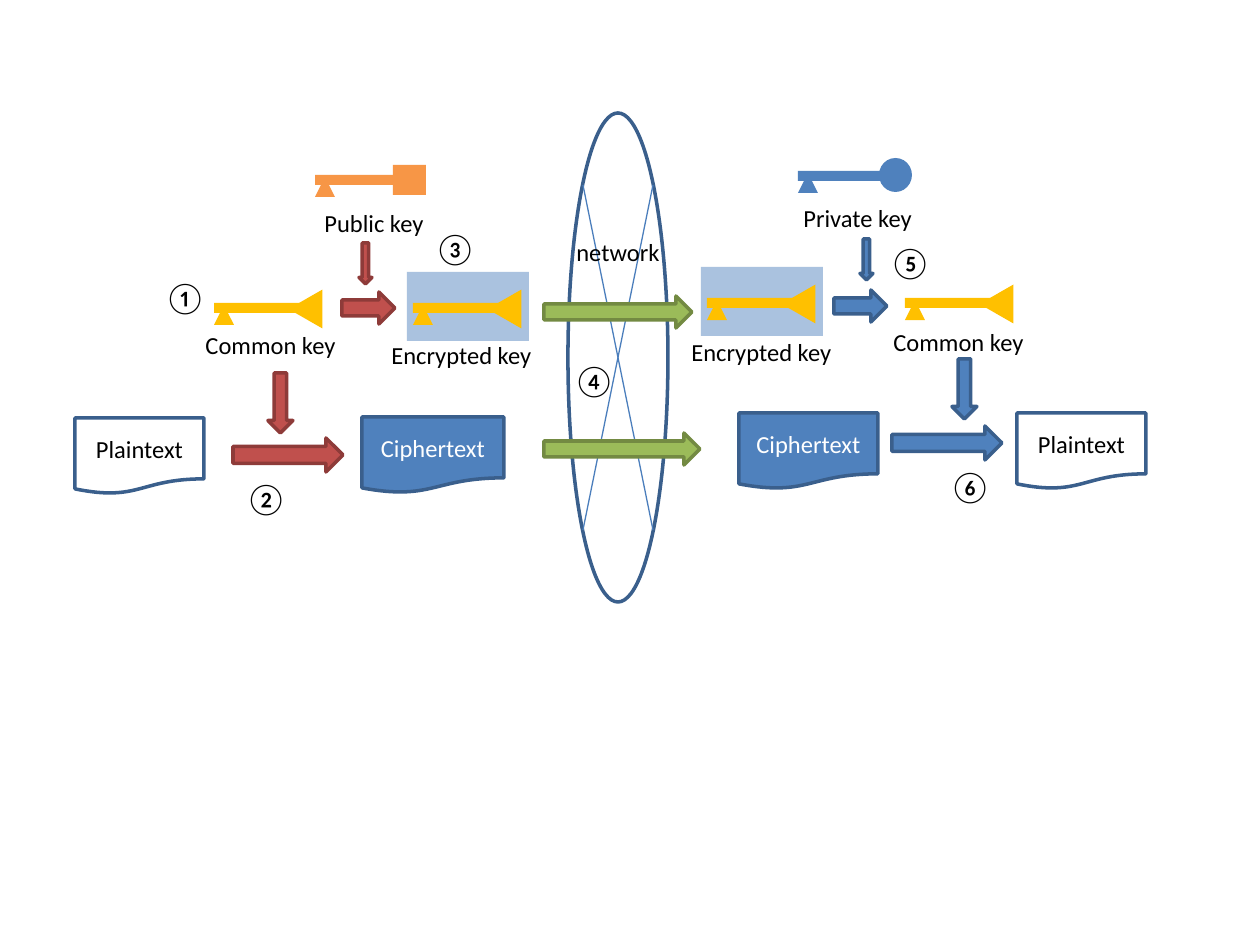
from pptx import Presentation
from pptx.util import Pt
from pptx.dml.color import RGBColor
from pptx.enum.shapes import MSO_SHAPE, MSO_CONNECTOR
from pptx.enum.text import PP_ALIGN, MSO_ANCHOR, MSO_AUTO_SIZE
from pptx.oxml.ns import qn
from lxml.etree import SubElement

SCALE = 914400 // 126
BLUE, RED, GREEN = ("4F81BD", "3A5F8C"), ("C0504D", "8E3B39"), ("9BBB59", "738A42")
GOLD, ORANGE, BLACK, WHITE = "FFC000", "F79646", "000000", "FFFFFF"
RIGHT, DOWN = MSO_SHAPE.RIGHT_ARROW, MSO_SHAPE.DOWN_ARROW

papers = [
    ("Plaintext", 75, 418, 129, None, BLACK),
    ("Ciphertext", 362, 417, 142, BLUE[0], WHITE),
    ("Ciphertext", 739, 413, 139, BLUE[0], WHITE),
    ("Plaintext", 1017, 413, 129, None, BLACK),
]
arrows = [
    (RIGHT, 233, 438, 110, 34, RED),
    (RIGHT, 342, 292, 53, 32, RED),
    (DOWN, 268, 373, 25, 60, RED),
    (DOWN, 359, 243, 13, 41, RED),
    (DOWN, 860, 239, 13, 41, BLUE),
    (RIGHT, 834, 290, 53, 32, BLUE),
    (RIGHT, 892, 426, 110, 34, BLUE),
    (DOWN, 952, 359, 25, 60, BLUE),
    (RIGHT, 544, 296, 148, 32, GREEN),
    (RIGHT, 544, 433, 156, 32, GREEN),
]
labels = [
    ("Private key", 791, 197, 158),
    ("Public key", 312, 202, 184),
    ("Common key", 193, 324, 180),
    ("Common key", 881, 321, 180),
    ("network", 564, 231, 131),
    ("Encrypted key", 679, 331, 190),
    ("Encrypted key", 379, 334, 190),
]
steps = [
    ("①", 152, 272), ("②", 233, 473), ("③", 422, 223),
    ("④", 561, 355), ("⑤", 877, 237), ("⑥", 937, 461),
]
heads = {
    "round": (MSO_SHAPE.OVAL, 81, -13, 33, 34, 0),
    "square": (MSO_SHAPE.RECTANGLE, 78, -10, 33, 30, 0),
    "wedge": (MSO_SHAPE.ISOSCELES_TRIANGLE, 72, -11, 39, 34, 270),
}
keys = [
    ("round", 798, 171, BLUE[0], False),
    ("square", 315, 175, ORANGE, False),
    ("wedge", 214, 303, GOLD, False),
    ("wedge", 905, 298, GOLD, False),
    ("wedge", 413, 303, GOLD, True),
    ("wedge", 707, 298, GOLD, True),
]


def px(*vals):
    return [round(v * SCALE) for v in vals]


def rgb(code):
    return RGBColor.from_string(code)


def draw(root, kind, box, fill=None, line=None):
    shape = root.shapes.add_shape(kind, *px(*box))
    shape.shadow.inherit = False
    if fill:
        shape.fill.solid()
        shape.fill.fore_color.rgb = rgb(fill)
    else:
        shape.fill.background()
    if line:
        shape.line.color.rgb = rgb(line)
        shape.line.width = Pt(2)
    else:
        shape.line.fill.background()
    return shape


def write(shape, text, size, color):
    shape.text_frame.text = text
    font = shape.text_frame.paragraphs[0].runs[0].font
    font.name, font.size = "Calibri", Pt(size)
    font.color.rgb = rgb(color)


def label(text, x, y, w, h, size):
    box = slide.shapes.add_textbox(*px(x, y, w, h))
    box.text_frame.word_wrap = True
    box.text_frame.auto_size = MSO_AUTO_SIZE.SHAPE_TO_FIT_TEXT
    write(box, text, size, BLACK)


def key(head, x, y, color, locked):
    group = slide.shapes.add_group_shape()
    if locked:
        case = draw(group, MSO_SHAPE.RECTANGLE, (x - 6, y - 31, 122, 69), BLUE[0])
        tint = case.fill._xPr.find(qn("a:solidFill"))[0]
        SubElement(tint, qn("a:alpha"), val="48000")
    draw(group, MSO_SHAPE.RECTANGLE, (x, y, 96, 10), color)
    draw(group, MSO_SHAPE.ISOSCELES_TRIANGLE, (x, y + 2, 20, 20), color)
    kind, dx, dy, w, h, turn = heads[head]
    draw(group, kind, (x + dx, y + dy, w, h), color).rotation = turn


deck = Presentation()
deck.slide_width, deck.slide_height = px(1260, 945)
slide = deck.slides.add_slide(deck.slide_layouts[6])

for text, x, y, w, fill, color in papers:
    paper = draw(slide, MSO_SHAPE.FLOWCHART_DOCUMENT, (x, y, w, 76), fill, BLUE[1])
    write(paper, text, 14, color)
    paper.text_frame.vertical_anchor = MSO_ANCHOR.MIDDLE
    paper.text_frame.paragraphs[0].alignment = PP_ALIGN.CENTER

draw(slide, MSO_SHAPE.OVAL, (568, 113, 100, 489), None, BLUE[1])
for start, end in ((583, 653), (653, 583)):
    line = slide.shapes.add_connector(MSO_CONNECTOR.STRAIGHT, *px(start, 185, end, 530))
    line.line.color.rgb = rgb("4B7EBC")
    line.line.width = Pt(0.75)
    SubElement(line._element.spPr, qn("a:effectLst"))

for kind, x, y, w, h, (fill, edge) in arrows:
    draw(slide, kind, (x, y, w, h), fill, edge)
for text, x, y, w in labels:
    label(text, x, y, w, 43, 14)
for text, x, y in steps:
    label(text, x, y, 120, 50, 18)
for item in keys:
    key(*item)

deck.save("out.pptx")
